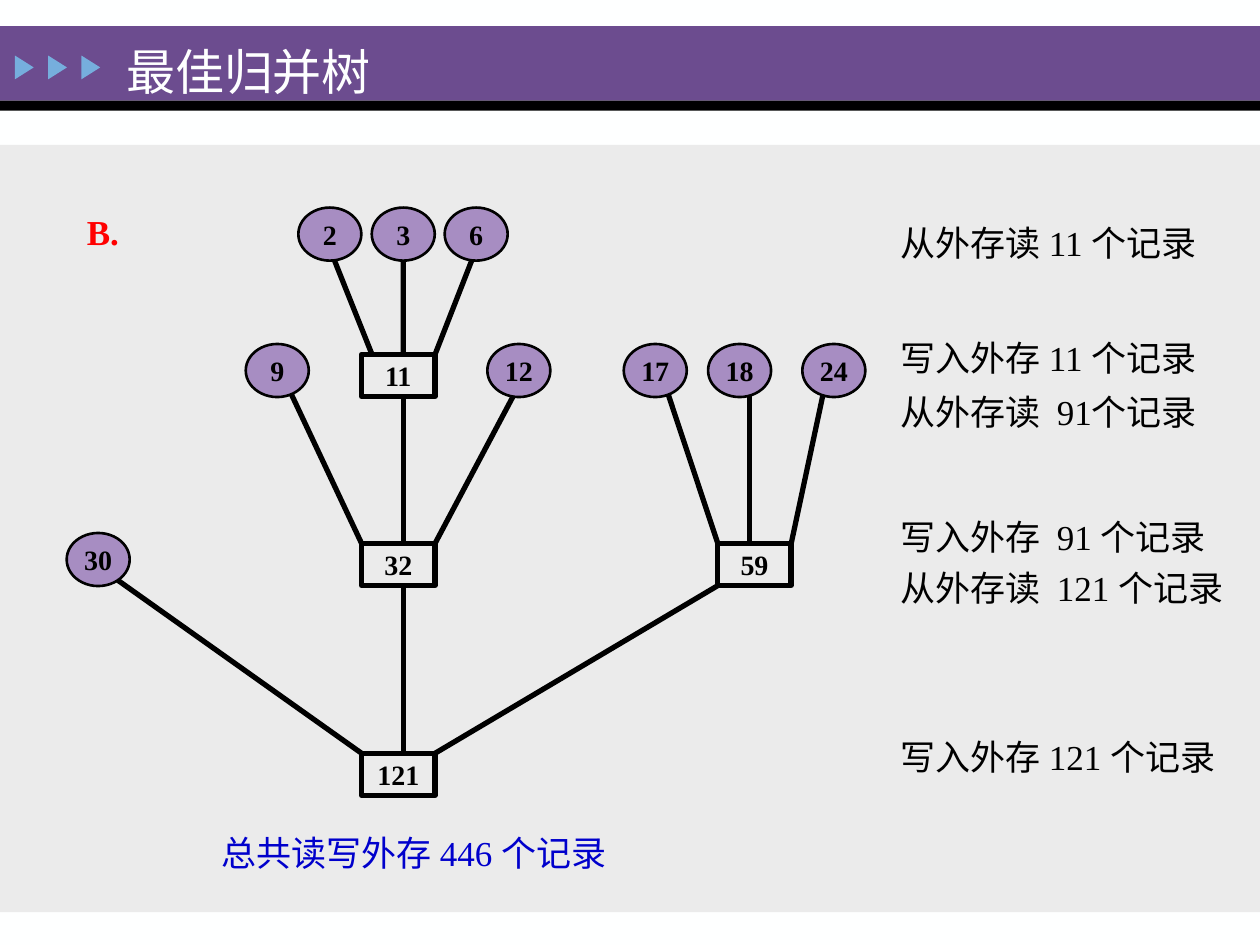
from lxml import etree
from pptx import Presentation
from pptx.dml.color import RGBColor
from pptx.enum.shapes import MSO_CONNECTOR, MSO_SHAPE
from pptx.enum.text import MSO_ANCHOR, MSO_AUTO_SIZE, PP_ALIGN
from pptx.oxml.ns import qn
from pptx.util import Cm, Pt

RECT, OVAL, TRIANGLE = MSO_SHAPE.RECTANGLE, MSO_SHAPE.OVAL, MSO_SHAPE.ISOSCELES_TRIANGLE
STRAIGHT = MSO_CONNECTOR.STRAIGHT
TOP, MIDDLE = MSO_ANCHOR.TOP, MSO_ANCHOR.MIDDLE
LEFT, CENTER = PP_ALIGN.LEFT, PP_ALIGN.CENTER
NO_AUTOFIT = MSO_AUTO_SIZE.NONE

FONT = "Times New Roman"
COLORS = {
    "page": "FEFFFF",
    "band": "6C4C8F",
    "arrow": "76AEDD",
    "panel": "EBEBEB",
    "leaf": "A78DC2",
    "ink": "000000",
    "mark": "FF0000",
    "total": "0000CC",
}

SLIDE_W, SLIDE_H = 25.4, 19.05
LEAF_W, LEAF_H = 1.27, 1.07
MERGE_W, MERGE_H = 1.48, 0.85
SIDE = MERGE_W / 2

LEAVES = {
    "2": (6.65, 1.8), "3": (8.13, 1.8), "6": (9.6, 1.8),
    "9": (5.59, 4.55), "12": (10.46, 4.55),
    "17": (13.21, 4.55), "18": (14.91, 4.55), "24": (16.81, 4.55),
    "30": (1.98, 8.36),
}
MERGES = {
    "11": (8.03, 4.65), "32": (8.03, 8.46),
    "59": (15.21, 8.46), "121": (8.03, 12.69),
}
EDGES = [
    ("2", "11", 0, -0.53), ("3", "11", 0, 0.1), ("6", "11", 0, SIDE),
    ("9", "32", 0.2, -SIDE), ("11", "32", 0.1, 0.1), ("12", "32", 0, SIDE),
    ("17", "59", 0.2, -SIDE), ("18", "59", 0.2, -0.1), ("24", "59", -0.18, SIDE),
    ("30", "121", 0.23, -SIDE), ("32", "121", 0.1, 0.1), ("59", "121", -SIDE, SIDE),
]
STEPS = [
    ("从外存读 11 个记录", 1.42, 7.24),
    ("写入外存 11 个记录", 3.73, 6.81),
    ("从外存读  91个记录", 4.83, 6.81),
    ("写入外存  91 个记录", 7.34, 7.49),
    ("从外存读  121 个记录", 8.38, 7.11),
    ("写入外存 121 个记录", 11.79, 7.11),
]


def rgb(name):
    return RGBColor.from_string(COLORS[name])


def add_block(s, kind, x, y, w, h, fill=None, line=None):
    sp = s.shapes.add_shape(kind, Cm(x), Cm(y), Cm(w), Cm(h))
    sp.shadow.inherit = False
    if fill:
        sp.fill.solid()
        sp.fill.fore_color.rgb = rgb(fill)
    else:
        sp.fill.background()
    if line:
        sp.line.color.rgb = rgb("ink")
        sp.line.width = Pt(line)
    else:
        sp.line.fill.background()
    return sp


def write(tf, text, size, color="ink", bold=False, align=LEFT):
    p = tf.paragraphs[0]
    p.text = text
    p.alignment = align
    p.font.name = FONT
    p.font.size = Pt(size)
    p.font.bold = bold
    p.font.color.rgb = rgb(color)
    return p


def add_text(s, text, x, y, w, color="ink", bold=False):
    tf = s.shapes.add_textbox(Cm(x), Cm(y), Cm(w), Cm(1.12)).text_frame
    tf.word_wrap = True
    write(tf, text, 20, color, bold)


def add_edge(s, x1, y1, x2, y2):
    c = s.shapes.add_connector(STRAIGHT, Cm(x1), Cm(y1), Cm(x2), Cm(y2))
    c.line.color.rgb = rgb("ink")
    c.line.width = Pt(3)
    etree.SubElement(c.element.spPr, qn("a:effectLst"))


def add_node(s, kind, label, cx, cy, w, h, fill, line):
    sp = add_block(s, kind, cx - w / 2, cy - h / 2, w, h, fill, line)
    tf = sp.text_frame
    tf.word_wrap = False
    tf.vertical_anchor = MIDDLE
    tf.margin_left = tf.margin_right = tf.margin_top = tf.margin_bottom = 0
    write(tf, label, 16, bold=True, align=CENTER)


def header(s, x, y, w):
    add_block(s, RECT, x, y, w, 1.5, "band")
    add_block(s, RECT, x, y + 1.5, w, 0.2, "ink")
    for i in range(3):
        arrow = add_block(s, TRIANGLE, x + 0.25 + 0.67 * i, y + 0.64, 0.48, 0.38, "arrow")
        arrow.rotation = 90

    title = s.shapes.title
    title.left, title.top = Cm(x + 2.29), Cm(y - 0.12)
    title.width, title.height = Cm(13.49), Cm(1.47)
    tf = title.text_frame
    tf.auto_size = NO_AUTOFIT
    tf.vertical_anchor = TOP
    write(tf, "最佳归并树", 28, "page").line_spacing = 1.25
    title.element.getparent().append(title.element)


def merge_tree(s, x, y):
    nodes = {**LEAVES, **MERGES}
    for child, parent, dx1, dx2 in EDGES:
        (x1, y1), (x2, y2) = nodes[child], nodes[parent]
        drop = MERGE_H / 2 if child in MERGES else 0.3
        add_edge(s, x + x1 + dx1, y + y1 + drop, x + x2 + dx2, y + y2 - MERGE_H / 2)
    for label, (cx, cy) in LEAVES.items():
        add_node(s, OVAL, label, x + cx, y + cy, LEAF_W, LEAF_H, "leaf", 1.5)
    for label, (cx, cy) in MERGES.items():
        add_node(s, RECT, label, x + cx, y + cy, MERGE_W, MERGE_H, None, 3)
    add_text(s, "B.", x + 1.5, y + 1.19, 2.16, "mark", bold=True)
    add_text(s, "总共读写外存 446 个记录", x + 4.22, y + 13.72, 9.09, "total")


def io_steps(s, x, y):
    for text, top, width in STEPS:
        add_text(s, text, x, y + top, width)


def main():
    prs = Presentation()
    prs.slide_width, prs.slide_height = Cm(SLIDE_W), Cm(SLIDE_H)
    s = prs.slides.add_slide(prs.slide_layouts[5])
    s.background.fill.solid()
    s.background.fill.fore_color.rgb = rgb("page")

    panel_top = 2.92
    header(s, 0, 0.53, SLIDE_W)
    add_block(s, RECT, 0, panel_top, SLIDE_W, 15.47, "panel")
    merge_tree(s, 0, panel_top)
    io_steps(s, 17.91, panel_top)
    prs.save("out.pptx")


if __name__ == "__main__":
    main()
